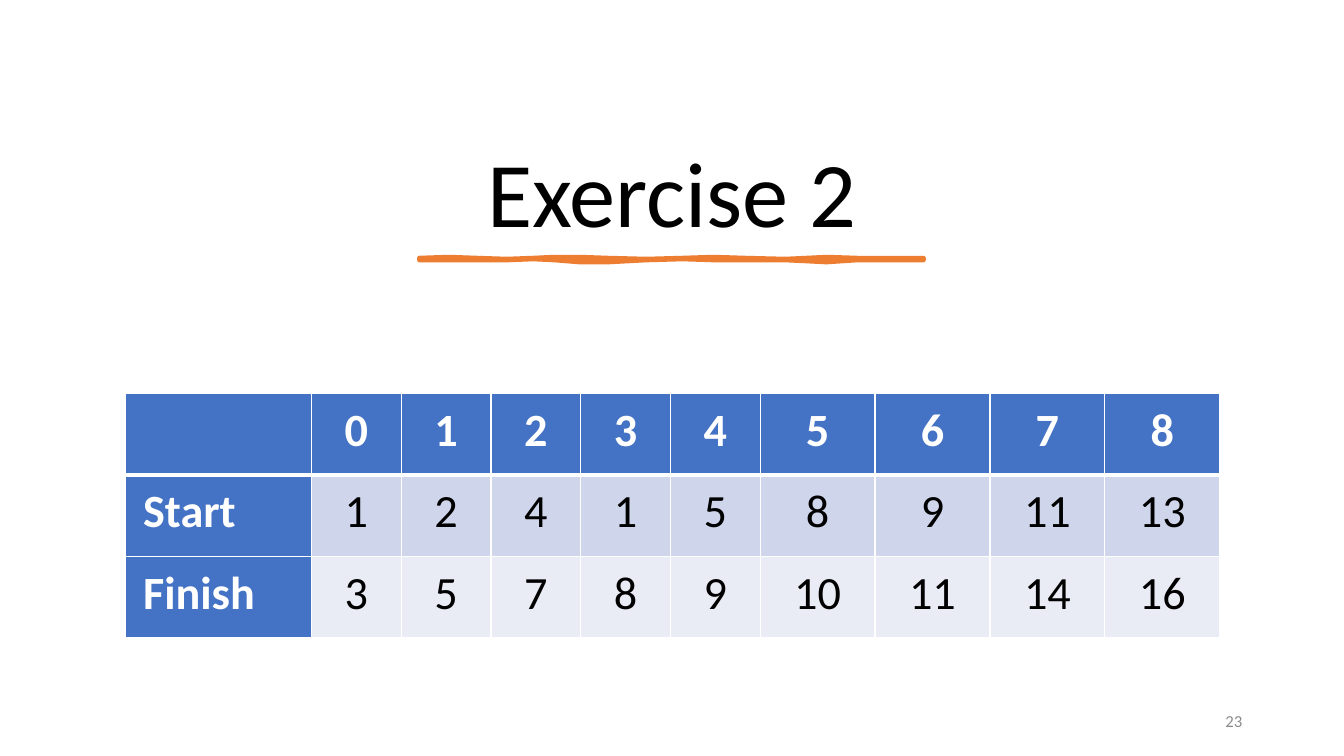
from lxml import etree
from pptx import Presentation
from pptx.dml.color import RGBColor
from pptx.enum.text import MSO_ANCHOR, PP_ALIGN
from pptx.oxml.ns import qn
from pptx.util import Inches, Pt

LEFT, CENTER, RIGHT = PP_ALIGN.LEFT, PP_ALIGN.CENTER, PP_ALIGN.RIGHT
TOP, MIDDLE, BOTTOM = MSO_ANCHOR.TOP, MSO_ANCHOR.MIDDLE, MSO_ANCHOR.BOTTOM

# Content
TITLE = "Exercise 2"
PAGE = "23"
ROWS = [
    ("", 0, 1, 2, 3, 4, 5, 6, 7, 8),
    ("Start", 1, 2, 4, 1, 5, 8, 9, 11, 13),
    ("Finish", 3, 5, 7, 8, 9, 10, 11, 14, 16),
]
COL_WIDTHS = [1.85] + [0.89] * 5 + [1.14] * 4
ROW_HEIGHT = 0.81

# Brush stroke under the title: x, upper edge, lower edge
STROKE = [
    (4.16, 2.56, 2.58), (4.45, 2.55, 2.58), (4.73, 2.56, 2.58),
    (5.03, 2.57, 2.58), (5.29, 2.56, 2.57), (5.5, 2.55, 2.58),
    (5.75, 2.55, 2.6), (6.03, 2.56, 2.6), (6.41, 2.57, 2.58),
    (6.77, 2.56, 2.57), (7.08, 2.55, 2.58), (7.39, 2.56, 2.58),
    (7.79, 2.57, 2.58), (8, 2.56, 2.59), (8.2, 2.55, 2.6),
    (8.5, 2.56, 2.58), (8.8, 2.56, 2.58), (9.16, 2.56, 2.58),
]

THEME = {
    "font": "Calibri", "title": 66, "cell": 33, "page": 12,
    "black": "000000", "white": "FFFFFF", "grey": "8C8C8C",
    "blue": "4472C4", "orange": "ED7D31",
    "bands": ["CFD5EA", "E9EBF5"],
    "thin": 1, "thick": 3, "stroke": 3.25,
}


def rgb(name):
    return RGBColor.from_string(THEME.get(name, name))


def set_all(obj, values):
    for name, value in values.items():
        setattr(obj, name, value)


def write(tf, text, size, color, align, bold=False, **spacing):
    p = tf.paragraphs[0]
    set_all(p, {"alignment": align, **spacing})
    r = p.add_run()
    r.text = text
    set_all(r.font, {"name": THEME["font"], "size": Pt(THEME[size]), "bold": bold})
    r.font.color.rgb = rgb(color)


def add_text(slide, box, anchor, *args, **spacing):
    tf = slide.shapes.add_textbox(*map(Inches, box)).text_frame
    set_all(tf, {"word_wrap": True, "vertical_anchor": anchor})
    write(tf, *args, **spacing)


def set_borders(cell, widths):
    tc_pr = cell._tc.get_or_add_tcPr()
    for i, (side, width) in enumerate(widths.items()):
        ln = etree.Element(qn(f"a:ln{side}"), w=str(Pt(width)))
        fill = etree.SubElement(ln, qn("a:solidFill"))
        etree.SubElement(fill, qn("a:srgbClr"), val=THEME["white"])
        tc_pr.insert(i, ln)


def add_stroke(slide):
    upper = [(x, top) for x, top, _ in STROKE]
    lower = [(x, bottom) for x, _, bottom in reversed(STROKE)]
    start, *rest = [(Inches(x), Inches(y)) for x, y in upper + lower]
    fb = slide.shapes.build_freeform(*start)
    fb.add_line_segments(rest, close=True)
    sp = fb.convert_to_shape()
    sp.shadow.inherit = False
    sp.fill.solid()
    sp.fill.fore_color.rgb = sp.line.color.rgb = rgb("orange")
    sp.line.width = Pt(THEME["stroke"])
    ln = sp.line._get_or_add_ln()
    etree.SubElement(ln, qn("a:round"))


def add_schedule(slide):
    size = (sum(COL_WIDTHS), ROW_HEIGHT * len(ROWS))
    table = slide.shapes.add_table(
        len(ROWS), len(COL_WIDTHS), *map(Inches, (1.24, 3.9, *size))).table
    for col, width in zip(table.columns, COL_WIDTHS):
        col.width = Inches(width)
    for i, values in enumerate(ROWS):
        table.rows[i].height = Inches(ROW_HEIGHT)
        for j, value in enumerate(values):
            cell = table.cell(i, j)
            head = i == 0 or j == 0
            set_all(cell, {
                "margin_left": Inches(0.18), "margin_right": Inches(0.18),
                "margin_top": Inches(0.09), "margin_bottom": Inches(0.09),
                "vertical_anchor": TOP,
            })
            cell.fill.solid()
            cell.fill.fore_color.rgb = rgb("blue" if head else THEME["bands"][i - 1])
            thin, thick = THEME["thin"], THEME["thick"]
            set_borders(cell, {"L": thin, "R": thin,
                               "T": thick if i == 1 else thin,
                               "B": thick if i == 0 else thin})
            if value != "":
                write(cell.text_frame, str(value), "cell",
                      "white" if head else "black", CENTER if j else LEFT, head)


def main():
    prs = Presentation()
    set_all(prs, {"slide_width": Inches(13.33), "slide_height": Inches(7.5)})
    slide = prs.slides.add_slide(prs.slide_layouts[6])

    # Title and brush stroke
    add_text(slide, (0.7, 0.5, 11.93, 2), BOTTOM, TITLE, "title", "black", CENTER,
             line_spacing=0.9)
    add_stroke(slide)

    # Page number
    add_text(slide, (9.42, 6.95, 3, 0.4), MIDDLE, PAGE, "page", "grey", RIGHT,
             space_after=Pt(6))

    # Start and finish times
    add_schedule(slide)
    prs.save("out.pptx")


if __name__ == "__main__":
    main()
